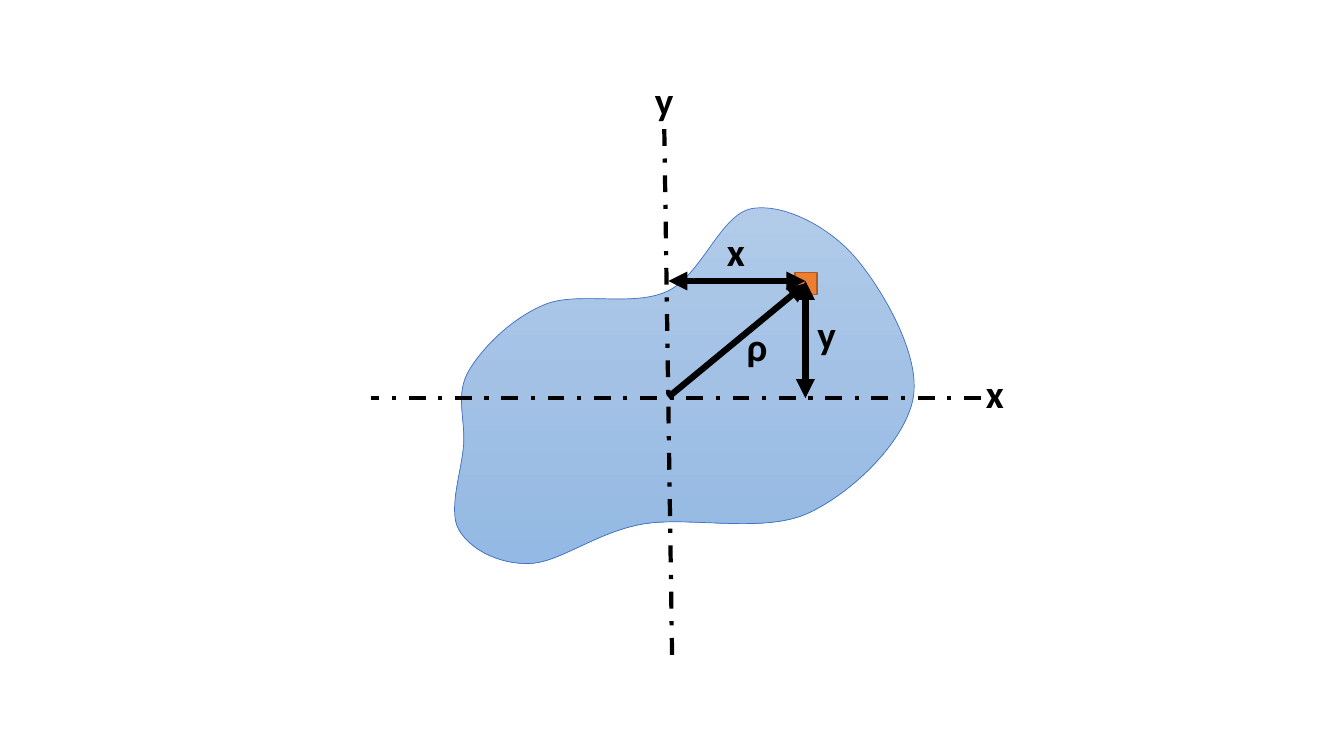
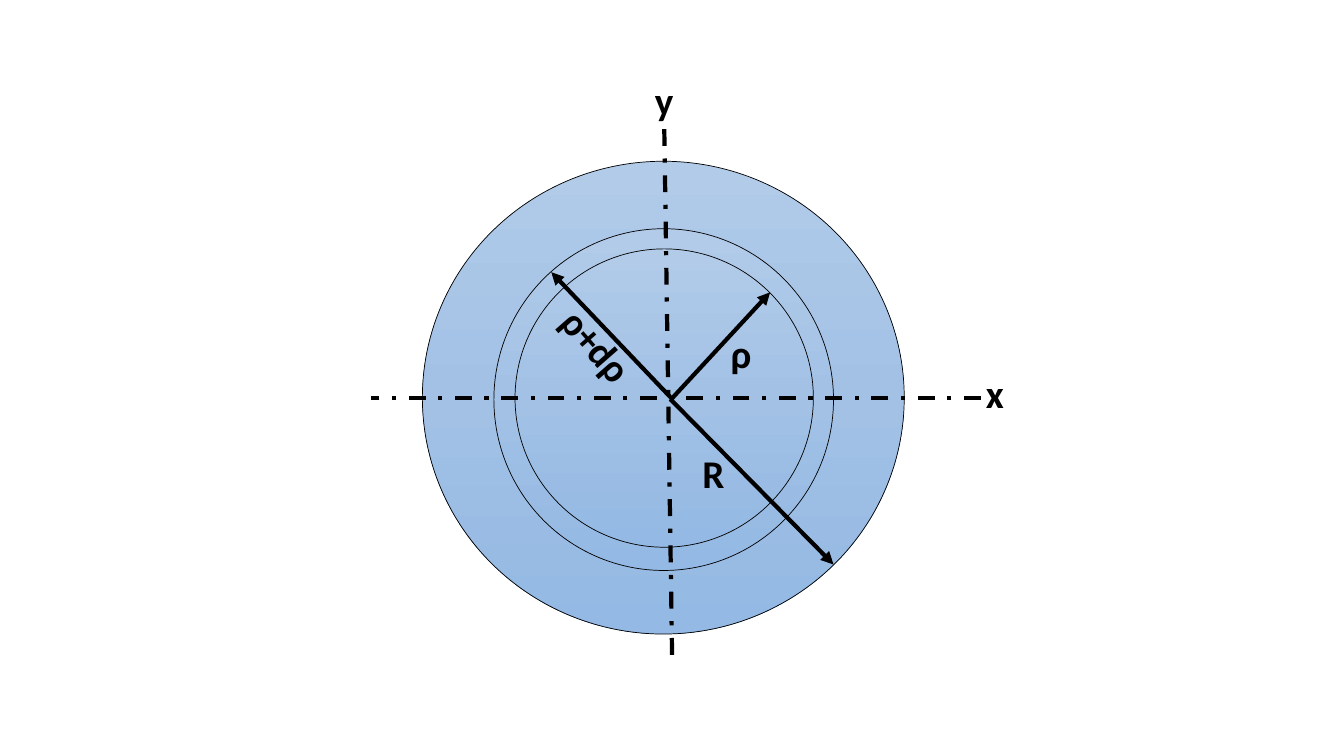
from copy import deepcopy
from lxml import etree
from pptx import Presentation
from pptx.dml.color import RGBColor
from pptx.enum import dml, shapes, text
from pptx.oxml import ns
from pptx.util import Pt

HUES = {"ink": "000000", "edge": "4472C4", "patch": "ED7D31", "rim": "AF5C24"}
BLUES = {0: "B1CBE9", 0.5: "A3C1E5", 1: "93B9E4"}
FONT = "Calibri"
BOX = (265, 51)
MID = 233.4
NODES = [(66.2, 266.5), (69.8, 214), (124.5, 166.4), (211.6, 157.1),
         (272.1, 98), (346.3, 133.3), (387.3, 233.4), (312.4, 315.5),
         (193.6, 323.4), (113, 351.5), (62.6, 327)]
FRAME = (59.7, 97.3, 328.2, 254.3)
RINGS = [(36.7, 64.2, 344.2, 337.7), (87.8, 112.4, 242.6, 244.1),
         (102.9, 126.8, 213.1, 213.1)]


def rgb(name):
    """Return the named colour."""
    return RGBColor.from_string(HUES[name])


def place(box, x, y):
    """Turn a point of the box into slide lengths."""
    return Pt(box[0] + x), Pt(box[1] + y)


def edge(shape, hue, width):
    """Outline a shape and drop its shadow."""
    shape.shadow.inherit = False
    shape.line.color.rgb = rgb(hue)
    shape.line.width = Pt(width)


def shade(shape):
    """Fill a shape with the blue gradient, top to bottom."""
    shape.fill.gradient()
    shape.fill.gradient_angle = 270
    stops = shape._element.spPr.find(".//" + ns.qn("a:gsLst"))
    stops.insert(1, deepcopy(stops[0]))
    for stop, (part, hue) in zip(shape.fill.gradient_stops, BLUES.items()):
        stop.position = part
        stop.color.rgb = RGBColor.from_string(hue)


def line(slide, box, start, end, width=3, dash=None, tips=()):
    """Draw a black line with the given arrow tips."""
    link = slide.shapes.add_connector(
        shapes.MSO_CONNECTOR.STRAIGHT, *place(box, *start), *place(box, *end))
    link.line.color.rgb = rgb("ink")
    link.line.width = Pt(width)
    if dash:
        link.line.dash_style = dash
    for tip in tips:
        etree.SubElement(link.line._get_or_add_ln(), ns.qn(f"a:{tip}End"), type="triangle")
    etree.SubElement(link._element.spPr, ns.qn("a:effectLst"))


def label(slide, box, words, x, y, width=28.8, turn=0, align=text.PP_ALIGN.CENTER):
    """Write a bold label."""
    note = slide.shapes.add_textbox(*place(box, x, y), Pt(width), Pt(41.2))
    note.rotation = turn
    note.text_frame.word_wrap = True
    note.text_frame.auto_size = text.MSO_AUTO_SIZE.SHAPE_TO_FIT_TEXT
    para = note.text_frame.paragraphs[0]
    para.text = words
    para.alignment = align
    para.font.name, para.font.size, para.font.bold = FONT, Pt(28), True
    para.font.color.rgb = rgb("ink")


def axes(slide, box):
    """Draw the two dash-dot axes and their names."""
    dash = dml.MSO_LINE.DASH_DOT
    line(slide, box, (209.5, 41.2), (215.2, 425.6), dash=dash)
    line(slide, box, (435.6, MID), (0, MID), dash=dash)
    label(slide, box, "y", 195.1, 0)
    label(slide, box, "x", 431.2, 208.9)


def bend(nodes):
    """Return handles and end of each part of a smooth closed curve."""
    count = len(nodes)
    for i in range(count):
        a, b, c, d = (nodes[(i + k) % count] for k in (-1, 0, 1, 2))
        yield (tuple(q + (r - p) / 6 for p, q, r in zip(a, b, c)),
               tuple(r - (s - q) / 6 for q, r, s in zip(b, c, d)), c)


def blob(slide, box):
    """Draw the free-form section with curved sides."""
    left, top, width, height = FRAME
    points = [place(box, *node) for node in NODES]
    pen = slide.shapes.build_freeform(*points[0])
    pen.add_line_segments(points[1:] + points[:1], close=True)
    body = pen.convert_to_shape()
    body.left, body.top = place(box, left, top)
    body.width, body.height = Pt(width), Pt(height)
    route = body._element.spPr.find(".//" + ns.qn("a:path"))
    route.set("w", str(Pt(width)))
    route.set("h", str(Pt(height)))
    sides = [("moveTo", NODES[:1])] + [("cubicBezTo", part) for part in bend(NODES)]
    for old, (kind, spots) in zip(list(route), sides):
        side = etree.Element(ns.qn(f"a:{kind}"))
        for x, y in spots:
            etree.SubElement(side, ns.qn("a:pt"), x=str(Pt(x - left)), y=str(Pt(y - top)))
        route.replace(old, side)
    shade(body)
    edge(body, "edge", 0.5)


def area(slide, box):
    """Draw the section with a small patch and its distances."""
    blob(slide, box)
    axes(slide, box)
    patch = slide.shapes.add_shape(
        shapes.MSO_SHAPE.RECTANGLE, *place(box, 302.9, 143.8), Pt(15.8), Pt(15.8))
    patch.fill.solid()
    patch.fill.fore_color.rgb = rgb("patch")
    edge(patch, "rim", 1)
    both = ("head", "tail")
    corner = (310.3, 149.7)
    line(slide, box, (212.4, 232.7), (311, 151.3), 4.5, tips=("tail",))
    label(slide, box, "ρ", 261.3, 175.8)
    line(slide, box, (212.4, corner[1]), corner, 4.5, tips=both)
    line(slide, box, corner, (corner[0], MID), 4.5, tips=both)
    label(slide, box, "x", 246.2, 108.1)
    label(slide, box, "y", 311, 167.2)


def disc(slide, box):
    """Draw the round section with its ring and radii."""
    for x, y, width, height in RINGS:
        ring = slide.shapes.add_shape(
            shapes.MSO_SHAPE.OVAL, *place(box, x, y), Pt(width), Pt(height))
        shade(ring)
        edge(ring, "ink", 0.5)
    axes(slide, box)
    for start, end in (((215.2, MID), (285.1, 157.8)),
                       ((215.2, 234.1), (128.8, 143.4)),
                       ((213.8, 234.1), (330.4, 352.2))):
        line(slide, box, start, end, tips=("tail",))
    label(slide, box, "ρ", 249.8, 180.8)
    label(slide, box, "ρ+dρ", 114.4, 175.1, 94.3, 48.9)
    label(slide, box, "R", 229.6, 266.5, align=text.PP_ALIGN.RIGHT)


def main():
    """Build and save both slides."""
    deck = Presentation()
    deck.slide_width, deck.slide_height = Pt(960), Pt(540)
    for draw in (area, disc):
        draw(deck.slides.add_slide(deck.slide_layouts[6]), BOX)
    deck.save("out.pptx")


main()
